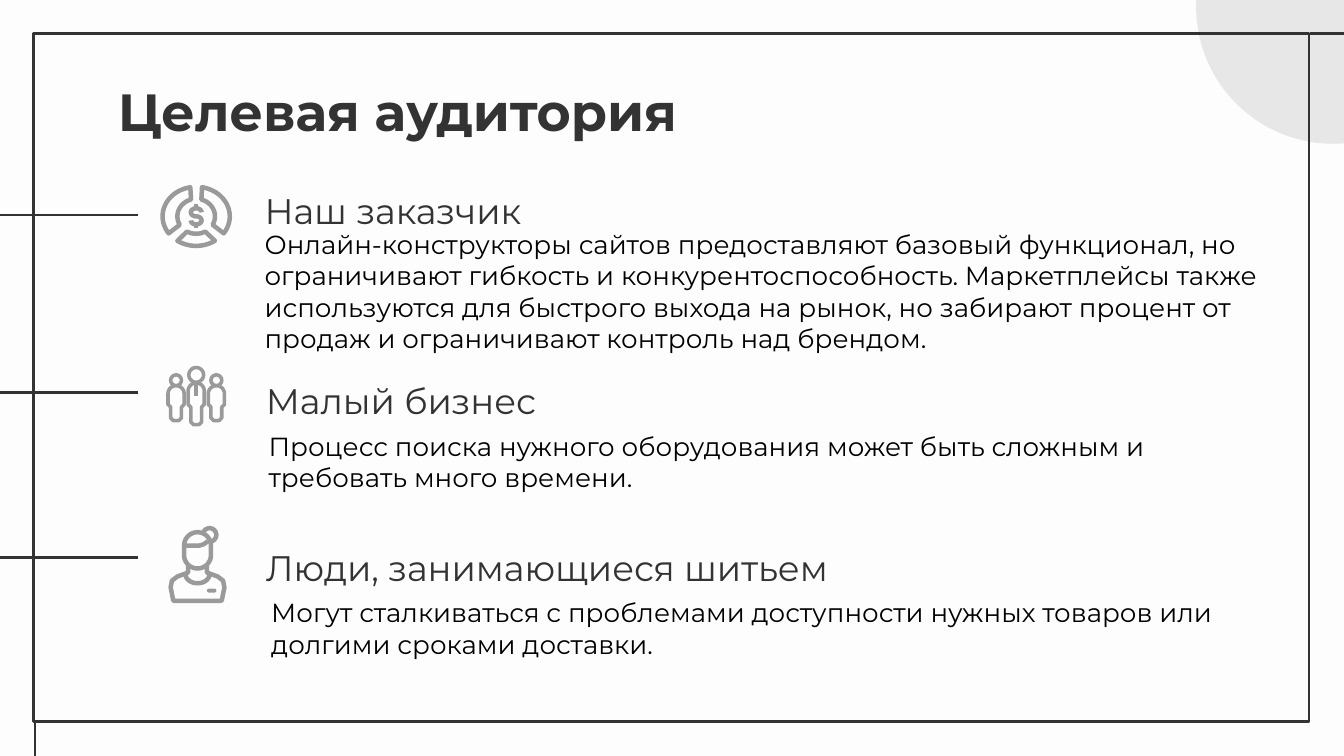
from math import cos, radians, sin

from lxml import etree
from pptx import Presentation
from pptx import util as u
from pptx.dml.color import RGBColor
from pptx.enum import shapes, text
from pptx.oxml.ns import qn

W, H = 10, 10 * 9 / 16
THEME = {
    "font": "Montserrat",
    "bg": "FDFDFD", "ink": "333333", "body": "000000", "icon": "9A9A9A", "disc": "E8E7E7",
    "title_pt": 28, "heading_pt": 19, "body_pt": 14, "rule_pt": 1.5,
}

TITLE = "Целевая аудитория"
# heading, its (left, top), body, its (left, top, width, height), its top inset, side rule height
AUDIENCES = [
    ("Наш заказчик", (1.87, 1.24),
     "Онлайн-конструкторы сайтов предоставляют базовый функционал, но ограничивают "
     "гибкость и конкурентоспособность. Маркетплейсы также используются для быстрого "
     "выхода на рынок, но забирают процент от продаж и ограничивают контроль над брендом.",
     (1.87, 1.42, 7.99, 1.51), 0.28, 1.6),
    ("Малый бизнес", (1.88, 2.66),
     "Процесс поиска нужного оборудования может быть сложным и требовать много времени.",
     (1.9, 3.15, 7.23, 0.57), 0.05, 2.92),
    ("Люди, занимающиеся шитьем", (1.88, 3.9),
     "Могут сталкиваться с проблемами доступности нужных товаров или долгими сроками доставки.",
     (1.92, 4.39, 7.24, 0.57), 0.05, 4.15),
]
FRAME = (0.25, 0.25, 9.49, 5.12)

prs = Presentation()
prs.slide_width, prs.slide_height = u.Inches(W), u.Inches(H)
s = prs.slides.add_slide(prs.slide_layouts[6])


def color(name):
    return RGBColor.from_string(THEME[name])


s.background.fill.solid()
s.background.fill.fore_color.rgb = color("bg")


def style(sp, fill=None, line=None, pt=THEME["rule_pt"]):
    sp.shadow.inherit = False
    if fill:
        sp.fill.solid()
        sp.fill.fore_color.rgb = color(fill)
    else:
        sp.fill.background()
    if line:
        sp.line.color.rgb = color(line)
        sp.line.width = u.Pt(pt)
    else:
        sp.line.fill.background()
    return sp


def add_preset(kind, box, **look):
    return style(s.shapes.add_shape(kind, *map(u.Inches, box)), **look)


def add_line(x1, y1, x2, y2):
    ln = s.shapes.add_connector(shapes.MSO_CONNECTOR.STRAIGHT, *map(u.Inches, (x1, y1, x2, y2)))
    ln.line.color.rgb = color("ink")
    ln.line.width = u.Pt(THEME["rule_pt"])
    etree.SubElement(ln._element.spPr, qn("a:effectLst"))


def add_text(words, box, role, ink, bold=False, inset=0.1,
             anchor=text.MSO_ANCHOR.TOP, spacing=None):
    tf = s.shapes.add_textbox(*map(u.Inches, box)).text_frame
    tf.word_wrap = True
    tf.vertical_anchor = anchor
    tf.margin_left = tf.margin_right = u.Inches(0.1)
    tf.margin_top = u.Inches(inset)
    tf.margin_bottom = u.Inches(min(inset, 0.1))
    p = tf.paragraphs[0]
    p.text = words
    p.line_spacing = spacing
    p.font.name, p.font.size, p.font.bold = THEME["font"], u.Pt(THEME[role]), bold
    p.font.color.rgb = color(ink)


def arc(cx, cy, rx, ry, start, end, steps=20):
    """Points along an ellipse; degrees run clockwise from the right."""
    angles = [radians(start + (end - start) * i / steps) for i in range(steps + 1)]
    return [(cx + rx * cos(a), cy + ry * sin(a)) for a in angles]


def mirrored(points, cx):
    return [(2 * cx - x, y) for x, y in reversed(points)]


def stroke(pt, closed=(), opened=()):
    """Draw all contours as one outlined freeform."""
    fb = None
    for contours, close in ((closed, True), (opened, False)):
        for contour in contours:
            pts = [(u.Inches(x), u.Inches(y)) for x, y in contour]
            if fb:
                fb.move_to(*pts[0])
            else:
                fb = s.shapes.build_freeform(*pts[0])
            fb.add_line_segments(pts[1:], close=close)
    style(fb.convert_to_shape(), line="icon", pt=pt)


def draw_money_ring(cx=1.46, cy=1.61, pt=2.4):
    # outer start and end, inner start and end
    for o1, o2, i1, i2 in ((-80, 35, -74, 29), (56, 124, 61, 119), (145, 260, 151, 254)):
        stroke(pt, closed=[arc(cx, cy, 0.25, 0.22, o1, o2) + arc(cx, cy, 0.14, 0.13, i2, i1)])
    upper = arc(cx, cy - 0.03, 0.04, 0.03, 0, -270)
    lower = arc(cx, cy + 0.03, 0.04, 0.03, -90, 180)
    ticks = [[(cx, cy + d), (cx, cy + 1.5 * d)] for d in (-0.06, 0.06)]
    stroke(pt, opened=[upper + lower, *ticks])


def draw_team(cx=1.46, pt=1.9):
    contours = []
    # centre, head centre, head radius, shoulder top, foot line
    people = [(cx - 0.15, 2.83, 0.04, 2.87, 3.13), (cx, 2.79, 0.055, 2.85, 3.16),
              (cx + 0.15, 2.83, 0.04, 2.87, 3.13)]
    for x, head, r, top, foot in people:
        right = [(x + 0.06, 3.01), (x + 0.04, 3.03), (x + 0.04, foot - 0.02), (x + 0.02, foot)]
        contours += [arc(x, head, r, r, 0, 360),
                     arc(x, top + 0.06, 0.06, 0.06, 180, 360) + right + mirrored(right, x)]
    stroke(pt, closed=contours, opened=[[(cx, 2.86), (cx, 2.95)]])


def draw_woman(cx=1.47, pt=2.4):
    head = arc(cx, 4.06, 0.1, 0.1, 180, 360) + arc(cx, 4.13, 0.1, 0.1, 0, 180)
    fringe = [(cx - 0.1, 4.06)] + arc(cx, 3.96, 0.1, 0.1, 90, 40)
    bun = arc(cx + 0.09, 3.98, 0.05, 0.05, 195, 430)
    right = [(cx + 0.07, 4.21), (cx + 0.07, 4.26), (cx + 0.15, 4.29), (cx + 0.19, 4.32),
             (cx + 0.2, 4.37), (cx + 0.18, 4.47)]
    neckline = arc(cx, 4.27, 0.09, 0.07, 10, 170)
    stroke(pt, closed=[head], opened=[fringe, bun, right + mirrored(right, cx), neckline])
    pocket = add_preset(shapes.MSO_SHAPE.ROUNDED_RECTANGLE, (1.54, 4.38, 0.07, 0.03), fill="icon")
    pocket.adjustments[0] = 0.5


add_preset(shapes.MSO_SHAPE.OVAL, (8.9, -0.97, 2.04, 2.04), fill="disc")
add_preset(shapes.MSO_SHAPE.RECTANGLE, FRAME, line="ink")
add_line(W, 0.25, 9.75, 0.25)
add_line(0.26, 5.38, 0.26, H)

add_text(TITLE, (0.78, 0.49, 8.43, 0.63), "title_pt", "ink", bold=True)
for heading, corner, body, body_box, inset, rule_y in AUDIENCES:
    add_line(0, rule_y, 1.03, rule_y)
    add_text(heading, (*corner, 7.23, 0.58), "heading_pt", "ink",
             anchor=text.MSO_ANCHOR.BOTTOM, spacing=1.15)
    add_text(body, body_box, "body_pt", "body", inset=inset)

draw_money_ring()
draw_team()
draw_woman()

prs.save("out.pptx")
